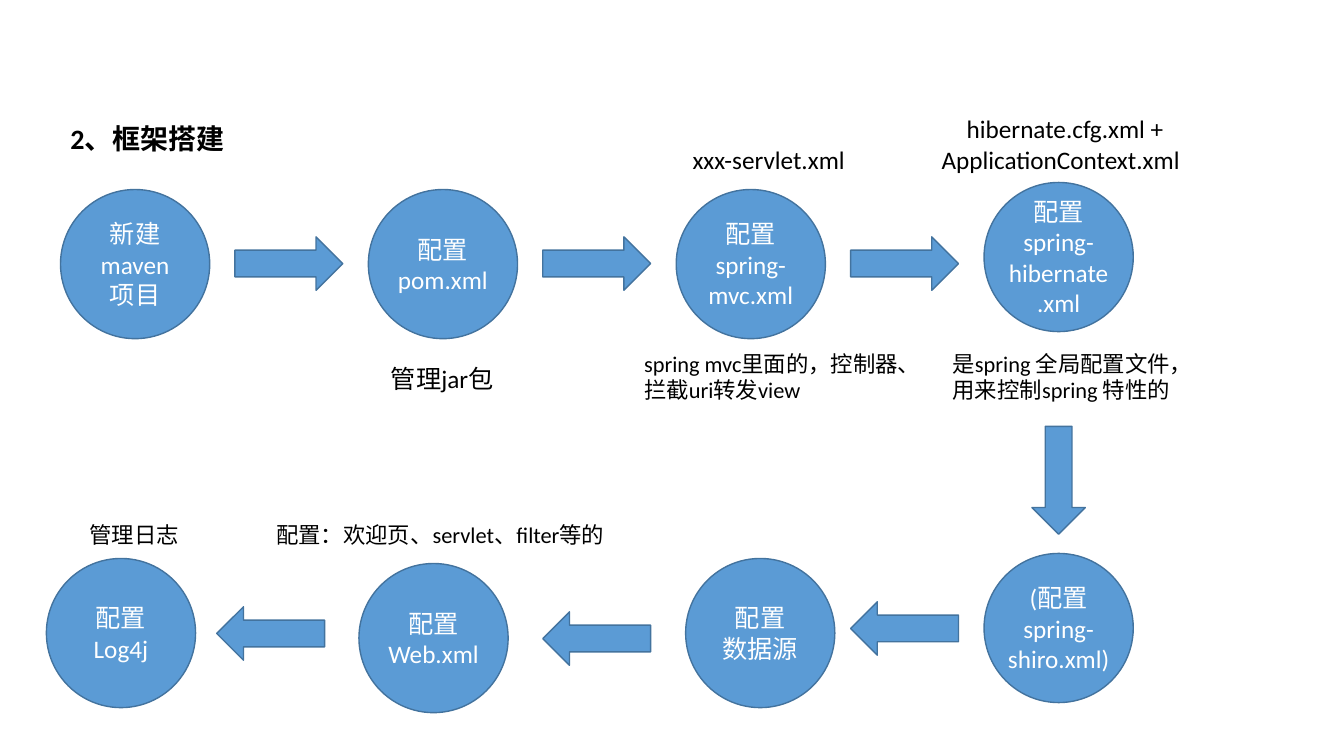
import pptx
import pptx.util
import pptx.dml.color
import pptx.enum.shapes
import pptx.enum.text

Inches, Pt = pptx.util.Inches, pptx.util.Pt
RGB = pptx.dml.color.RGBColor.from_string
SHAPE = pptx.enum.shapes.MSO_SHAPE
ALIGN = pptx.enum.text.PP_ALIGN
ANCHOR = pptx.enum.text.MSO_ANCHOR
AUTO = pptx.enum.text.MSO_AUTO_SIZE

THEME = {
    "font": "Calibri", "fill": "5B9BD5", "line": "43739E",
    "light": "FFFFFF", "dark": "000000",
    "title": 20, "body": 18, "note": 16,
}

# Steps: left, top, inset, paragraphs
FIRST, LAST, TOP = 0.6, 9.76, 1.88
STEP = (LAST - FIRST) / 3
CIRCLE = 1.48
steps = [
    (FIRST, TOP, 0.1, ["新建maven项目"]),
    (FIRST + STEP, TOP, 0, ["配置pom.xml"]),
    (FIRST + 2 * STEP, TOP, 0, ["配置spring-mvc.xml"]),
    (LAST, 1.81, 0, ["配置spring-hibernate.xml"]),
    (LAST, 5.49, 0, ["(配置spring-shiro.xml)"]),
    (6.8, 5.54, 0, ["配置", "数据源"]),
    (3.56, 5.59, 0, ["配置", "Web.xml"]),
    (0.46, 5.54, 0, ["配置", "Log4j"]),
]

# Arrows: horizontal ones stand in the gaps between columns
ARROW_LONG, ARROW_WIDE, ARROW_X = 1.07, 0.53, 2.33
arrows = [(SHAPE.RIGHT_ARROW, ARROW_X + i * STEP, 2.35) for i in range(3)] + [
    (SHAPE.DOWN_ARROW, LAST + (CIRCLE - ARROW_WIDE) / 2, 4.23),
    (SHAPE.LEFT_ARROW, ARROW_X + 2 * STEP, 5.97),
    (SHAPE.LEFT_ARROW, ARROW_X + STEP, 6.07),
    (SHAPE.LEFT_ARROW, 2.15, 6.02),
]

# Labels: left, top, width, height, size name, paragraphs
labels = [
    (0.6, 1.16, 5.29, 0.44, "title", ["2、框架搭建"]),
    (6.77, 1.38, 2.59, 0.4, "body", ["xxx-servlet.xml\u00a0"]),
    (9.24, 1.38, 2.59, 0.4, "body", ["ApplicationContext.xml"]),
    (9.49, 1.08, 2.17, 0.4, "body", ["hibernate.cfg.xml +"]),
    (6.29, 3.42, 2.97, 0.64, "note", ["spring mvc里面的，控制器、", "拦截uri转发view"]),
    (9.35, 3.42, 2.61, 0.64, "note", ["是spring 全局配置文件，", "用来控制spring 特性的"]),
    (3.78, 3.56, 1.23, 0.4, "body", ["管理jar包"]),
    (2.64, 5.12, 3.5, 0.37, "note", ["配置：欢迎页、servlet、filter等的"]),
    (0.79, 5.12, 1.1, 0.37, "note", ["管理日志"]),
]


def write(tf, lines, size, color, align, **frame):
    for name, value in frame.items():
        setattr(tf, name, value)
    for i, line in enumerate(lines):
        p = tf.paragraphs[0] if i == 0 else tf.add_paragraph()
        p.alignment = align
        r = p.add_run()
        r.text = line
        r.font.color.rgb = RGB(THEME[color])
        look = {"name": THEME["font"], "size": Pt(THEME[size]), "bold": size == "title"}
        for name, value in look.items():
            setattr(r.font, name, value)


def add_block(s, kind, *box):
    sp = s.shapes.add_shape(kind, *map(Inches, box))
    sp.shadow.inherit = False
    sp.fill.solid()
    sp.fill.fore_color.rgb = RGB(THEME["fill"])
    sp.line.color.rgb = RGB(THEME["line"])
    sp.line.width = Pt(1)
    return sp


def main():
    prs = pptx.Presentation()
    prs.slide_width, prs.slide_height = Inches(13.33), Inches(7.5)
    s = prs.slides.add_slide(prs.slide_layouts[6])

    # Circles
    for left, top, inset, lines in steps:
        sp = add_block(s, SHAPE.OVAL, left, top, CIRCLE, CIRCLE)
        side, edge = Inches(inset), Inches(inset / 2)
        write(sp.text_frame, lines, "body", "light", ALIGN.CENTER,
              word_wrap=True, vertical_anchor=ANCHOR.MIDDLE,
              margin_left=side, margin_right=side, margin_top=edge, margin_bottom=edge)

    # Arrows
    for kind, left, top in arrows:
        size = (ARROW_LONG, ARROW_WIDE)
        if kind == SHAPE.DOWN_ARROW:
            size = size[::-1]
        add_block(s, kind, left, top, *size)

    # Title and labels
    for *box, size, lines in labels:
        sp = s.shapes.add_textbox(*map(Inches, box))
        write(sp.text_frame, lines, size, "dark", ALIGN.LEFT,
              word_wrap=True, auto_size=AUTO.SHAPE_TO_FIT_TEXT)

    prs.save("out.pptx")


if __name__ == "__main__":
    main()
